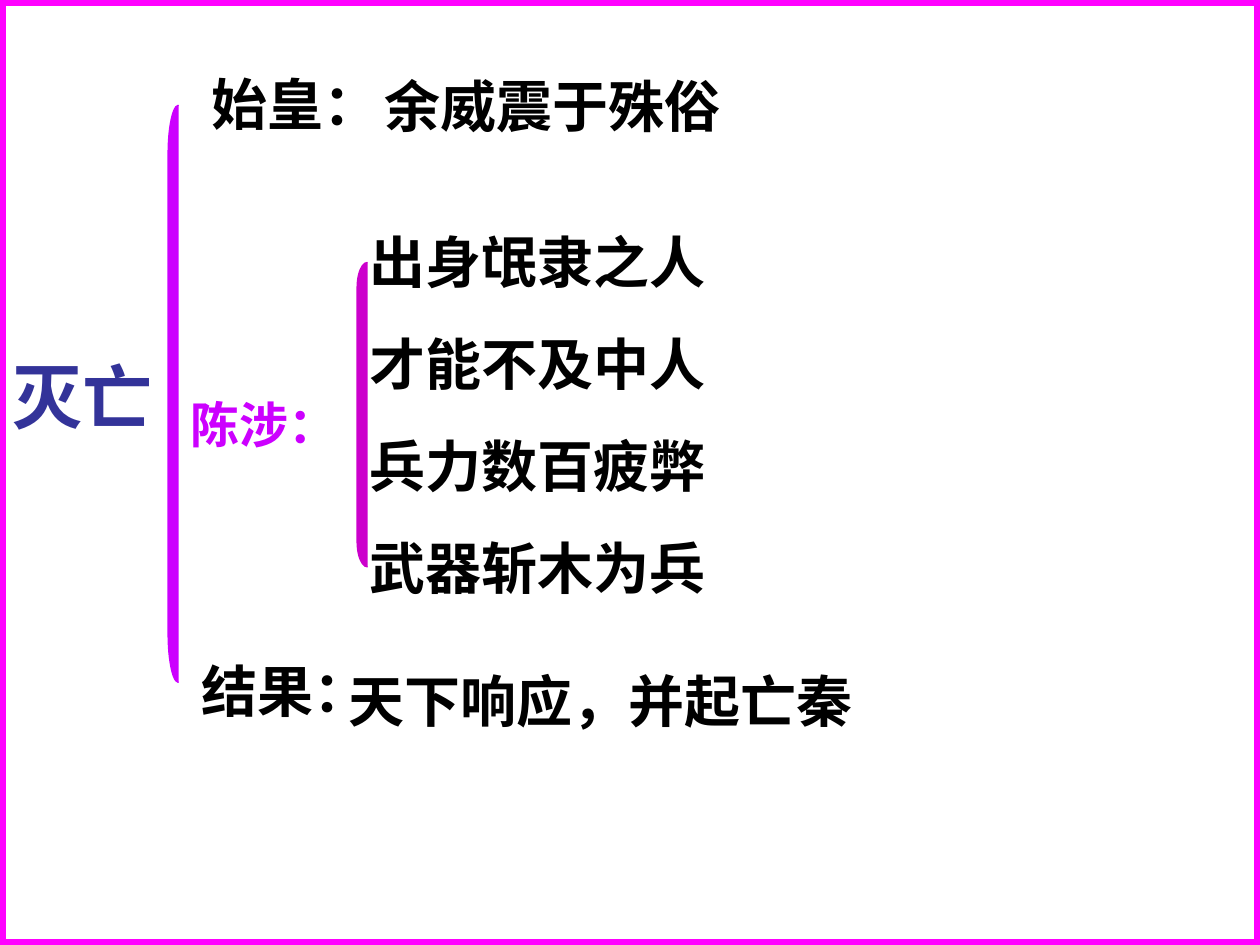
from lxml.etree import SubElement
from pptx import Presentation
from pptx.dml.color import RGBColor
from pptx.enum.shapes import MSO_SHAPE
from pptx.enum.text import MSO_ANCHOR, MSO_AUTO_SIZE, PP_ALIGN
from pptx.oxml.ns import qn
from pptx.util import Cm, Pt

BLACK = RGBColor(0x00, 0x00, 0x00)
INDIGO = RGBColor(0x33, 0x33, 0x99)
VIOLET = RGBColor(0xCC, 0x00, 0xFF)
PURPLE = RGBColor(0xCC, 0x00, 0xCC)
MAGENTA = RGBColor(0xFF, 0x00, 0xFF)
FONT = "Times New Roman"


def write_text(holder, text, *, size=32, color=BLACK, gap=0, indent=0):
    """Fill a holder with one bold paragraph for each line of text."""
    frame = holder.text_frame
    frame.text = text
    frame.word_wrap = True
    frame.auto_size = MSO_AUTO_SIZE.NONE
    frame.vertical_anchor = MSO_ANCHOR.TOP
    for number, paragraph in enumerate(frame.paragraphs):
        properties = paragraph._p.get_or_add_pPr()
        properties.set("marL", str(Cm(indent)))
        properties.set("indent", "0")
        paragraph.alignment = PP_ALIGN.LEFT
        paragraph.space_before = Pt(gap if number else 0)
        SubElement(properties, qn("a:buNone"))
        for run in paragraph.runs:
            run.font.name = FONT
            run.font.size = Pt(size)
            run.font.bold = True
            run.font.color.rgb = color


def place(holder, left, top, width, height):
    """Move and size a placeholder in centimetres."""
    holder.left, holder.top = Cm(left), Cm(top)
    holder.width, holder.height = Cm(width), Cm(height)


def add_label(slide, text, left, top, width, height=1.63, **text_format):
    """Add a text box holding one phrase."""
    label = slide.shapes.add_textbox(Cm(left), Cm(top), Cm(width), Cm(height))
    write_text(label, text, **text_format)


def add_bracket(slide, left, top, height, color, curve):
    """Add a narrow filled left bracket."""
    bracket = slide.shapes.add_shape(
        MSO_SHAPE.LEFT_BRACKET, Cm(left), Cm(top), Cm(0.21), Cm(height))
    bracket.adjustments[0] = curve
    bracket.shadow.inherit = False
    bracket.fill.solid()
    bracket.fill.fore_color.rgb = color
    bracket.line.color.rgb = color
    bracket.line.width = Pt(0.75)


def add_border(slide, width, height):
    """Outline the whole slide."""
    border = slide.shapes.add_shape(MSO_SHAPE.RECTANGLE, 0, 0, width, height)
    border.shadow.inherit = False
    border.fill.background()
    border.line.color.rgb = MAGENTA
    border.line.width = Pt(6.5)


def main():
    """Build the outline of the fall of Qin."""
    deck = Presentation()
    deck.slide_width, deck.slide_height = Cm(25.4), Cm(19.05)
    slide = deck.slides.add_slide(deck.slide_layouts[1])

    topic = slide.shapes.title
    place(topic, 0, 6.99, 5.72, 1.96)
    write_text(topic, "灭亡", size=40, color=INDIGO)

    traits = slide.placeholders[1]
    place(traits, 7.2, 4.45, 8.68, 7.8)
    write_text(
        traits, "出身氓隶之人\n才能不及中人\n兵力数百疲弊\n武器斩木为兵", gap=20)

    add_label(slide, "始皇：", 4.02, 1.27, 11)
    add_label(slide, "余威震于殊俗", 7.5, 1.32, 11)
    add_label(slide, "陈涉：", 3.6, 7.83, 4.23, 1.44, size=28, color=VIOLET)
    add_label(slide, "结果：", 3.81, 13.12, 14.18)
    add_label(slide, "天下响应，并起亡秦", 3.7, 13.31, 14.18, 2.97, indent=3.07)

    add_bracket(slide, 3.39, 2.12, 11.64, VIOLET, 4.67)
    add_bracket(slide, 7.2, 5.29, 6.14, PURPLE, 2.4)
    add_border(slide, deck.slide_width, deck.slide_height)

    deck.save("out.pptx")


if __name__ == "__main__":
    main()
